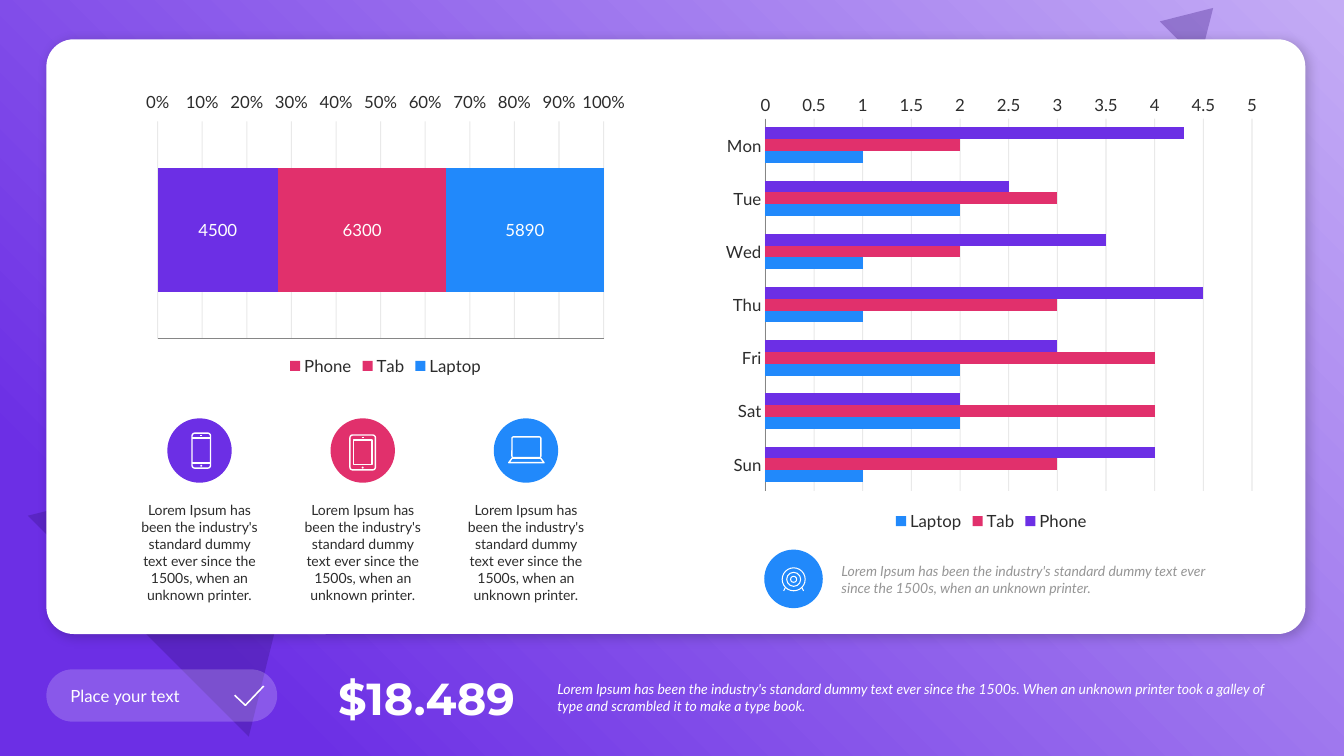
from dataclasses import dataclass

from lxml import etree
from pptx import Presentation
from pptx.chart.chart import Chart
from pptx.chart.data import CategoryChartData
from pptx.dml.color import RGBColor
from pptx.enum.chart import XL_CHART_TYPE, XL_LEGEND_POSITION, XL_TICK_LABEL_POSITION, XL_TICK_MARK
from pptx.enum.shapes import MSO_CONNECTOR, MSO_SHAPE
from pptx.enum.text import MSO_ANCHOR, MSO_AUTO_SIZE, PP_ALIGN
from pptx.oxml.ns import qn
from pptx.shapes.autoshape import Shape
from pptx.shapes.shapetree import GroupShapes, SlideShapes
from pptx.util import Pt

RECTANGLE, ROUNDED = MSO_SHAPE.RECTANGLE, MSO_SHAPE.ROUNDED_RECTANGLE
OVAL, TRIANGLE, TRAPEZOID = MSO_SHAPE.OVAL, MSO_SHAPE.ISOSCELES_TRIANGLE, MSO_SHAPE.TRAPEZOID
STRAIGHT = MSO_CONNECTOR.STRAIGHT
LEFT, CENTER, RIGHT = PP_ALIGN.LEFT, PP_ALIGN.CENTER, PP_ALIGN.RIGHT
TOP, MIDDLE = MSO_ANCHOR.TOP, MSO_ANCHOR.MIDDLE
GROW = MSO_AUTO_SIZE.SHAPE_TO_FIT_TEXT
STACKED, CLUSTERED = XL_CHART_TYPE.BAR_STACKED_100, XL_CHART_TYPE.BAR_CLUSTERED
NO_TICK, LABELS_HIGH = XL_TICK_MARK.NONE, XL_TICK_LABEL_POSITION.HIGH
LEGEND_BOTTOM = XL_LEGEND_POSITION.BOTTOM

Shapes = SlideShapes | GroupShapes
Box = tuple[float, float, float, float]


@dataclass(frozen=True)
class Theme:
    purple: str = "6C2FE5"
    lilac: str = "C4ACF5"
    indigo: str = "330F7B"
    pink: str = "E1306C"
    blue: str = "2189FB"
    white: str = "FFFFFF"
    black: str = "000000"
    ink: str = "2C2C2C"
    grey: str = "969696"
    axis: str = "868686"
    body_font: str = "Lato"
    price_font: str = "Montserrat"
    small: float = 10
    medium: float = 12
    large: float = 32


THEME = Theme()


@dataclass(frozen=True)
class Mark:
    """Outlined piece of an icon, placed by its centre relative to the badge."""
    kind: MSO_SHAPE
    x: float
    y: float
    width: float
    height: float
    adjustment: float | None = None


@dataclass(frozen=True)
class Stroke:
    x1: float
    y1: float
    x2: float
    y2: float


@dataclass(frozen=True)
class Badge:
    x: float
    y: float
    diameter: float
    color: str
    weight: float
    icon: tuple[Mark | Stroke, ...]


@dataclass(frozen=True)
class Series:
    name: str
    values: tuple[float, ...]
    color: str


@dataclass(frozen=True)
class Label:
    text: str
    box: Box
    color: str
    size: float = THEME.small
    font: str = THEME.body_font
    align: PP_ALIGN = LEFT
    anchor: MSO_ANCHOR = MIDDLE
    bold: bool = False
    italic: bool = False
    space_after: float = 0


PHONE = (
    Mark(ROUNDED, 1.3, 0.1, 13.2, 25, 0.14),
    Stroke(-5.3, -9, 7.9, -9), Stroke(-5.3, 9, 7.9, 9),
    Mark(OVAL, 1.3, 10.9, 0.4, 0.4), Stroke(0.5, -10.8, 2.1, -10.8),
)
TABLET = (
    Mark(ROUNDED, 0, 1.4, 18.2, 24.9, 0.1),
    Mark(RECTANGLE, 0, 1.4, 13.4, 17.7),
    Mark(OVAL, 0, 12.2, 0.4, 0.4), Stroke(-0.7, -9.4, 0.7, -9.4),
)
LAPTOP = (
    Mark(ROUNDED, 0.3, -2.3, 20.6, 14.8, 0.07),
    Mark(TRAPEZOID, 0.3, 7.1, 25.2, 3.2, 0.75),
)
TARGET = (
    *(Mark(OVAL, 0.1, 0.3, diameter, diameter) for diameter in (4.3, 10, 16.4)),
    Stroke(-5.9, 6.3, -7, 8.6), Stroke(6.1, 6.3, 7.2, 8.6),
)


def set_alpha(color_parent: etree.ElementBase, percent: int) -> None:
    for color in color_parent.findall(".//" + qn("a:srgbClr")):
        etree.SubElement(color, qn("a:alpha"), val=str(percent * 1000))


def add_shape(shapes: Shapes, kind: MSO_SHAPE, box: Box, color: str | None = None,
              adjustment: float | None = None, alpha: int | None = None) -> Shape:
    shape = shapes.add_shape(kind, *map(Pt, box))
    shape.shadow.inherit = False
    shape.line.fill.background()
    if color is None:
        shape.fill.background()
    else:
        shape.fill.solid()
        shape.fill.fore_color.rgb = RGBColor.from_string(color)
    if adjustment is not None:
        shape.adjustments[0] = adjustment
    if alpha is not None:
        set_alpha(shape._element.spPr, alpha)
    return shape


def add_label(shapes: Shapes, label: Label) -> None:
    frame = shapes.add_textbox(*map(Pt, label.box)).text_frame
    frame.word_wrap, frame.auto_size, frame.vertical_anchor = True, GROW, label.anchor
    frame.text = label.text
    paragraph = frame.paragraphs[0]
    paragraph.alignment, paragraph.space_after = label.align, Pt(label.space_after)
    font = paragraph.runs[0].font
    font.name, font.size = label.font, Pt(label.size)
    font.bold, font.italic = label.bold, label.italic
    font.color.rgb = RGBColor.from_string(label.color)


def add_badge(shapes: Shapes, badge: Badge) -> None:
    radius = badge.diameter / 2
    add_shape(shapes, OVAL, (badge.x - radius, badge.y - radius, badge.diameter, badge.diameter), badge.color)
    for piece in badge.icon:
        if isinstance(piece, Stroke):
            drawn = shapes.add_connector(STRAIGHT, Pt(badge.x + piece.x1), Pt(badge.y + piece.y1),
                                         Pt(badge.x + piece.x2), Pt(badge.y + piece.y2))
            etree.SubElement(drawn._element.spPr, qn("a:effectLst"))
        else:
            left, top = badge.x + piece.x - piece.width / 2, badge.y + piece.y - piece.height / 2
            drawn = add_shape(shapes, piece.kind, (left, top, piece.width, piece.height),
                              adjustment=piece.adjustment)
        drawn.line.color.rgb = RGBColor.from_string(THEME.white)
        drawn.line.width = Pt(badge.weight)


def add_bar_chart(shapes: Shapes, kind: XL_CHART_TYPE, box: Box, categories: tuple[str, ...],
                  series_list: tuple[Series, ...], gap: int, maximum: float, step: float) -> Chart:
    data = CategoryChartData()
    data.categories = categories
    for series in series_list:
        data.add_series(series.name, series.values)
    chart = shapes.add_chart(kind, *map(Pt, box), data).chart
    chart.has_title = False
    chart.font.name, chart.font.size = THEME.body_font, Pt(THEME.medium)
    chart.font.color.rgb = RGBColor.from_string(THEME.ink)
    chart.has_legend = True
    chart.legend.position, chart.legend.include_in_layout = LEGEND_BOTTOM, False
    plot = chart.plots[0]
    plot.gap_width, plot.vary_by_categories = gap, False
    for drawn, series in zip(plot.series, series_list):
        drawn.format.fill.solid()
        drawn.format.fill.fore_color.rgb = RGBColor.from_string(series.color)
    for axis in (chart.category_axis, chart.value_axis):
        axis.major_tick_mark = axis.minor_tick_mark = NO_TICK
        axis.format.line.color.rgb = RGBColor.from_string(THEME.axis)
        axis.format.line.width = Pt(0.75)
    values = chart.value_axis
    values.minimum_scale, values.maximum_scale, values.major_unit = 0, maximum, step
    grid = values.major_gridlines.format.line
    grid.color.rgb = RGBColor.from_string(THEME.ink)
    grid.width = Pt(0.75)
    set_alpha(values._element.find(qn("c:majorGridlines")), 10)
    return chart


def add_backdrop(shapes: Shapes) -> None:
    backdrop = add_shape(shapes, RECTANGLE, (0, 0, 960, 540), THEME.purple)
    backdrop.fill.gradient()
    for stop, color, position in zip(backdrop.fill.gradient_stops, (THEME.lilac, THEME.purple), (0, 0.85)):
        stop.color.rgb = RGBColor.from_string(color)
        stop.position = position
    gradient = backdrop._element.spPr.find(qn("a:gradFill"))
    gradient.remove(gradient.find(qn("a:lin")))
    radial = etree.SubElement(gradient, qn("a:path"))
    radial.set("path", "circle")
    etree.SubElement(radial, qn("a:fillToRect"), l="100000", b="100000")
    for box in ((52.6, 289.4, 223.2, 185), (834.5, 0.7, 40.3, 33.8)):
        add_shape(shapes, TRIANGLE, box, THEME.indigo, alpha=30).rotation = 45
    card = add_shape(shapes, ROUNDED, (33.1, 28.1, 899.3, 424.8), THEME.white, 0.046)
    shadow = etree.SubElement(card._element.spPr.find(qn("a:effectLst")), qn("a:outerShdw"),
                              blurRad=str(Pt(8)), dist=str(Pt(3)), dir="2700000", algn="tl", rotWithShape="0")
    etree.SubElement(shadow, qn("a:srgbClr"), val=THEME.black)
    set_alpha(shadow, 20)


def add_device_share(shapes: Shapes) -> None:
    series = (Series("Phone", (4500,), THEME.pink), Series("Tab", (6300,), THEME.pink),
              Series("Laptop", (5890,), THEME.blue))
    chart = add_bar_chart(shapes, STACKED, (97.2, 61.2, 356.4, 210.2), ("1",), series, 75, 1, 0.1)
    chart.category_axis.visible = False
    ticks = chart.value_axis.tick_labels
    ticks.number_format, ticks.number_format_is_linked = "0%", False
    chart.value_axis.tick_label_position = LABELS_HIGH
    plot = chart.plots[0]
    plot.overlap = 100
    phone_bar = plot.series[0].points[0].format.fill
    phone_bar.solid()
    phone_bar.fore_color.rgb = RGBColor.from_string(THEME.purple)
    for drawn in plot.series:
        drawn.data_labels.show_value = True
        drawn.data_labels.font.color.rgb = RGBColor.from_string(THEME.white)


def add_week(shapes: Shapes) -> None:
    series = (Series("Phone", (4.3, 2.5, 3.5, 4.5, 3, 2, 4), THEME.purple),
              Series("Tab", (2, 3, 2, 3, 4, 4, 3), THEME.pink),
              Series("Laptop", (1, 2, 1, 1, 2, 2, 1), THEME.blue))
    days = ("Mon", "Tue", "Wed", "Thu", "Fri", "Sat", "Sun")
    chart = add_bar_chart(shapes, CLUSTERED, (510.5, 61.2, 395.3, 321.1), days, series, 150, 5, 0.5)
    chart.category_axis.reverse_order = True
    chart.value_axis.format.line.fill.background()


def add_button(shapes: Shapes) -> None:
    button = shapes.add_group_shape().shapes
    add_shape(button, ROUNDED, (33.1, 478.1, 164.9, 37.4), THEME.white, 0.5, alpha=20)
    builder = button.build_freeform(Pt(167.6), Pt(496.6))
    builder.add_line_segments([(Pt(175.3), Pt(503.8)), (Pt(188.4), Pt(490))], close=False)
    check = builder.convert_to_shape()
    check.shadow.inherit = False
    check.fill.background()
    check.line.color.rgb = RGBColor.from_string(THEME.white)
    check.line.width = Pt(1.1)
    add_label(button, Label("Place your text", (43.2, 486, 135.4, 21.6), THEME.white, THEME.medium))


def main() -> None:
    presentation = Presentation()
    presentation.slide_width, presentation.slide_height = Pt(960), Pt(540)
    shapes = presentation.slides.add_slide(presentation.slide_layouts[6]).shapes
    add_backdrop(shapes)
    add_device_share(shapes)
    lorem = ("Lorem Ipsum has been the industry's standard dummy text ever since the 1500s, "
             "when an unknown printer.")
    devices = ((THEME.purple, PHONE), (THEME.pink, TABLET), (THEME.blue, LAPTOP))
    for index, (color, icon) in enumerate(devices):
        center = 142.5 + 116.6 * index
        add_badge(shapes, Badge(center, 321.8, 46, color, 1, icon))
        add_label(shapes, Label(lorem, (center - 49, 355, 98, 79.9), THEME.ink,
                                align=CENTER, anchor=TOP, space_after=6))
    add_week(shapes)
    add_button(shapes)
    add_label(shapes, Label("$18.489", (229.7, 475.2, 145.4, 46.1), THEME.white, THEME.large,
                            THEME.price_font, RIGHT, bold=True))
    add_label(shapes, Label(
        "Lorem Ipsum has been the industry's standard dummy text ever since the 1500s. When an unknown "
        "printer took a galley of type and scrambled it to make a type book.",
        (391, 482.4, 527.8, 31.7), THEME.white, italic=True, space_after=6))
    add_badge(shapes, Badge(566.8, 413.5, 41.8, THEME.blue, 0.75, TARGET))
    add_label(shapes, Label(lorem, (594, 398.2, 293, 31.7), THEME.grey, italic=True))
    presentation.save("out.pptx")


if __name__ == "__main__":
    main()
